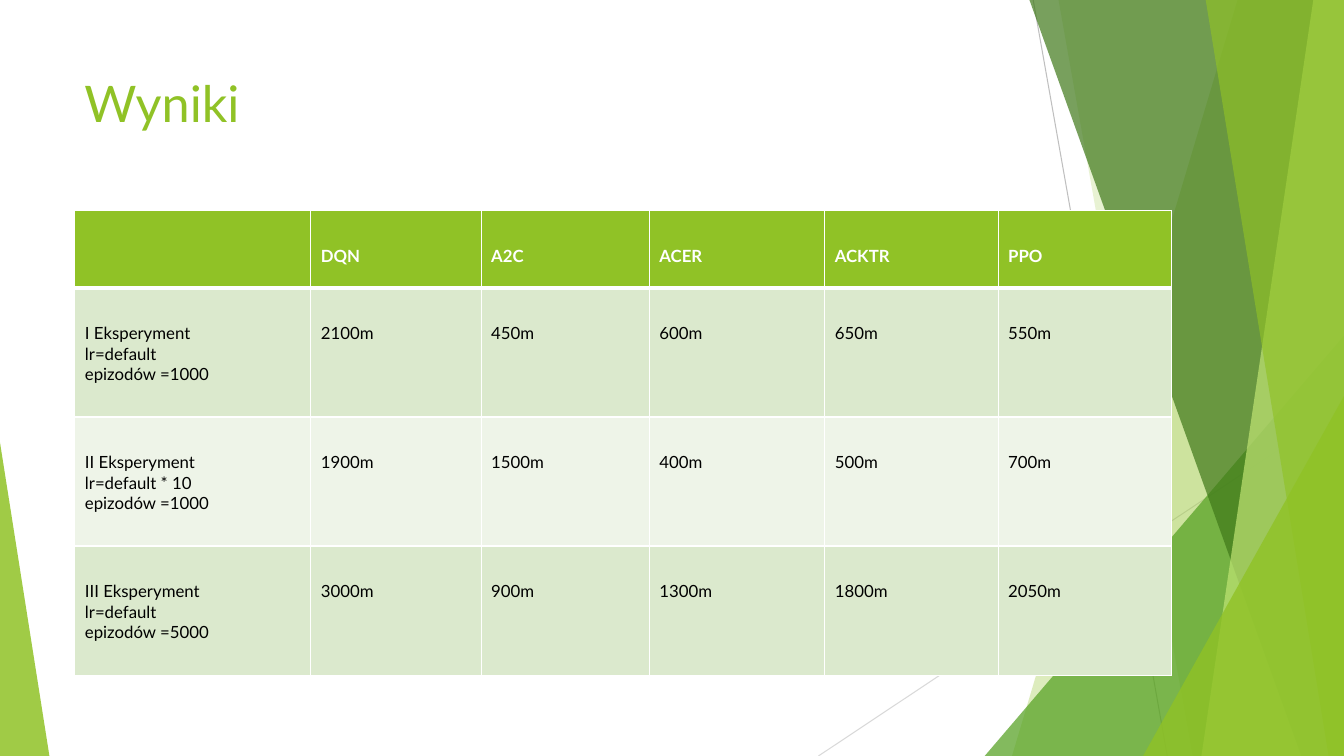
from lxml import etree
from pptx import Presentation
from pptx.dml.color import RGBColor
from pptx.enum.shapes import MSO_CONNECTOR, MSO_SHAPE
from pptx.enum.text import MSO_ANCHOR, PP_ALIGN
from pptx.oxml.ns import qn
from pptx.util import Pt

STRAIGHT = MSO_CONNECTOR.STRAIGHT
TRIANGLE = MSO_SHAPE.ISOSCELES_TRIANGLE
TOP = MSO_ANCHOR.TOP
LEFT = PP_ALIGN.LEFT

WHITE = RGBColor(0xFF, 0xFF, 0xFF)
BLACK = RGBColor(0, 0, 0)
LIME = RGBColor(0x90, 0xC2, 0x26)
PALE_LIME = RGBColor(0xC0, 0xE4, 0x74)
GREEN = RGBColor(0x54, 0xA0, 0x21)
DARK_GREEN = RGBColor(0x3F, 0x78, 0x19)
GREY = RGBColor(0xBF, 0xBF, 0xBF)
LIGHT_GREY = RGBColor(0xD9, 0xD9, 0xD9)
BAND_DARK = RGBColor(0xDB, 0xE9, 0xCD)
BAND_LIGHT = RGBColor(0xEE, 0xF4, 0xE8)

FONT = "Lato"
WIDTH, HEIGHT = 960, 540
BLEED = -0.7  # the facets start just above the slide

COLUMN_WIDTHS = [168.5, 121.7, 120.2, 125.3, 123.8, 123.8]
ROW_HEIGHTS = [55.4, 92.2, 92.2, 92.2]
RESULTS = [
    ["", "DQN", "A2C", "ACER", "ACKTR", "PPO"],
    ["I Eksperyment\nlr=default\nepizodów =1000",
     "2100m", "450m", "600m", "650m", "550m"],
    ["II Eksperyment\nlr=default * 10\nepizodów =1000",
     "1900m", "1500m", "400m", "500m", "700m"],
    ["III Eksperyment\nlr=default\nepizodów =5000",
     "3000m", "900m", "1300m", "1800m", "2050m"],
]


def add_line(s, x1, y1, x2, y2, color):
    line = s.shapes.add_connector(STRAIGHT, Pt(x1), Pt(y1), Pt(x2), Pt(y2))
    line.line.color.rgb = color
    line.line.width = Pt(0.75)
    etree.SubElement(line._element.spPr, qn("a:effectLst"))


def paint(sp, color, opacity):
    """Fill a shape with a see-through colour; opacity is in percent."""
    sp.shadow.inherit = False
    sp.line.fill.background()
    sp.fill.solid()
    sp.fill.fore_color.rgb = color
    srgb = sp._element.spPr.find(qn("a:solidFill")).find(qn("a:srgbClr"))
    etree.SubElement(srgb, qn("a:alpha"), val=str(opacity * 1000))


def add_facet(s, top_x, bottom_x, color, opacity):
    """Add a full-height facet from a slanted left edge to the slide's right."""
    outline = s.shapes.build_freeform(Pt(top_x), Pt(BLEED))
    outline.add_line_segments([
        (Pt(WIDTH), Pt(BLEED)),
        (Pt(WIDTH), Pt(HEIGHT)),
        (Pt(bottom_x), Pt(HEIGHT)),
    ])
    paint(outline.convert_to_shape(), color, opacity)


def add_triangle(s, left, top, width, apex, color, opacity):
    """Add a triangle on the slide's bottom edge; apex runs from 0 to 1."""
    sp = s.shapes.add_shape(
        TRIANGLE, Pt(left), Pt(top), Pt(width), Pt(HEIGHT - top))
    sp.adjustments[0] = apex
    paint(sp, color, opacity)


def add_decoration(s):
    add_line(s, 738, 0, 833.8, HEIGHT, GREY)
    add_line(s, WIDTH, 290.2, 584.6, HEIGHT, LIGHT_GREY)
    add_facet(s, 884.2, 722.9, LIME, 30)
    add_facet(s, 756, 851.8, LIME, 20)
    add_triangle(s, 703.4, 239.8, 256.6, 1, GREEN, 72)
    add_facet(s, 735.1, 929.5, DARK_GREEN, 70)
    add_facet(s, 938.2, 858.2, PALE_LIME, 70)
    add_facet(s, 861.1, 949, LIME, 65)
    add_triangle(s, 816.5, 283, 143.5, 1, LIME, 80)
    add_triangle(s, 0, 316.1, 35.3, 0, LIME, 85)


def add_run(p, text, size, color, bold=False):
    p.alignment = LEFT
    r = p.add_run()
    r.text = text
    r.font.name = FONT
    r.font.size = Pt(size)
    r.font.bold = bold
    r.font.color.rgb = color


def add_title(s, text):
    title = s.shapes.title
    title.left, title.top = Pt(53), Pt(48.2)
    title.width, title.height = Pt(677), Pt(103.7)
    tf = title.text_frame
    tf.word_wrap = True
    tf.vertical_anchor = TOP
    add_run(tf.paragraphs[0], text, 36, LIME)
    s.shapes._spTree.append(title._element)  # in front of the decoration


def set_borders(cell, top, bottom):
    tc_pr = cell._tc.get_or_add_tcPr()
    for side, width in (("L", 1), ("R", 1), ("T", top), ("B", bottom)):
        ln = etree.SubElement(tc_pr, qn("a:ln" + side), w=str(Pt(width)))
        fill = etree.SubElement(ln, qn("a:solidFill"))
        etree.SubElement(fill, qn("a:srgbClr"), val=str(WHITE))


def fill_cell(cell, text, row):
    header = row == 0
    set_borders(cell, 3 if row == 1 else 1, 3 if header else 1)
    cell.fill.solid()
    cell.fill.fore_color.rgb = (
        LIME if header else BAND_DARK if row % 2 else BAND_LIGHT)
    cell.margin_top = Pt(25.2)
    cell.vertical_anchor = TOP
    if not text:
        return
    tf = cell.text_frame
    for i, line in enumerate(text.split("\n")):
        p = tf.add_paragraph() if i else tf.paragraphs[0]
        add_run(p, line, 12, WHITE if header else BLACK, header)


def add_results(s):
    frame = s.shapes.add_table(
        len(ROW_HEIGHTS), len(COLUMN_WIDTHS), Pt(53.5), Pt(150.3),
        Pt(sum(COLUMN_WIDTHS)), Pt(sum(ROW_HEIGHTS)))
    table = frame.table
    for column, width in zip(table.columns, COLUMN_WIDTHS):
        column.width = Pt(width)
    for row, height in zip(table.rows, ROW_HEIGHTS):
        row.height = Pt(height)
    for i, texts in enumerate(RESULTS):
        for j, text in enumerate(texts):
            fill_cell(table.cell(i, j), text, i)


def main():
    prs = Presentation()
    prs.slide_width, prs.slide_height = Pt(WIDTH), Pt(HEIGHT)
    s = prs.slides.add_slide(prs.slide_layouts.get_by_name("Title Only"))
    add_decoration(s)
    add_title(s, "Wyniki")
    add_results(s)
    prs.save("out.pptx")


if __name__ == "__main__":
    main()
